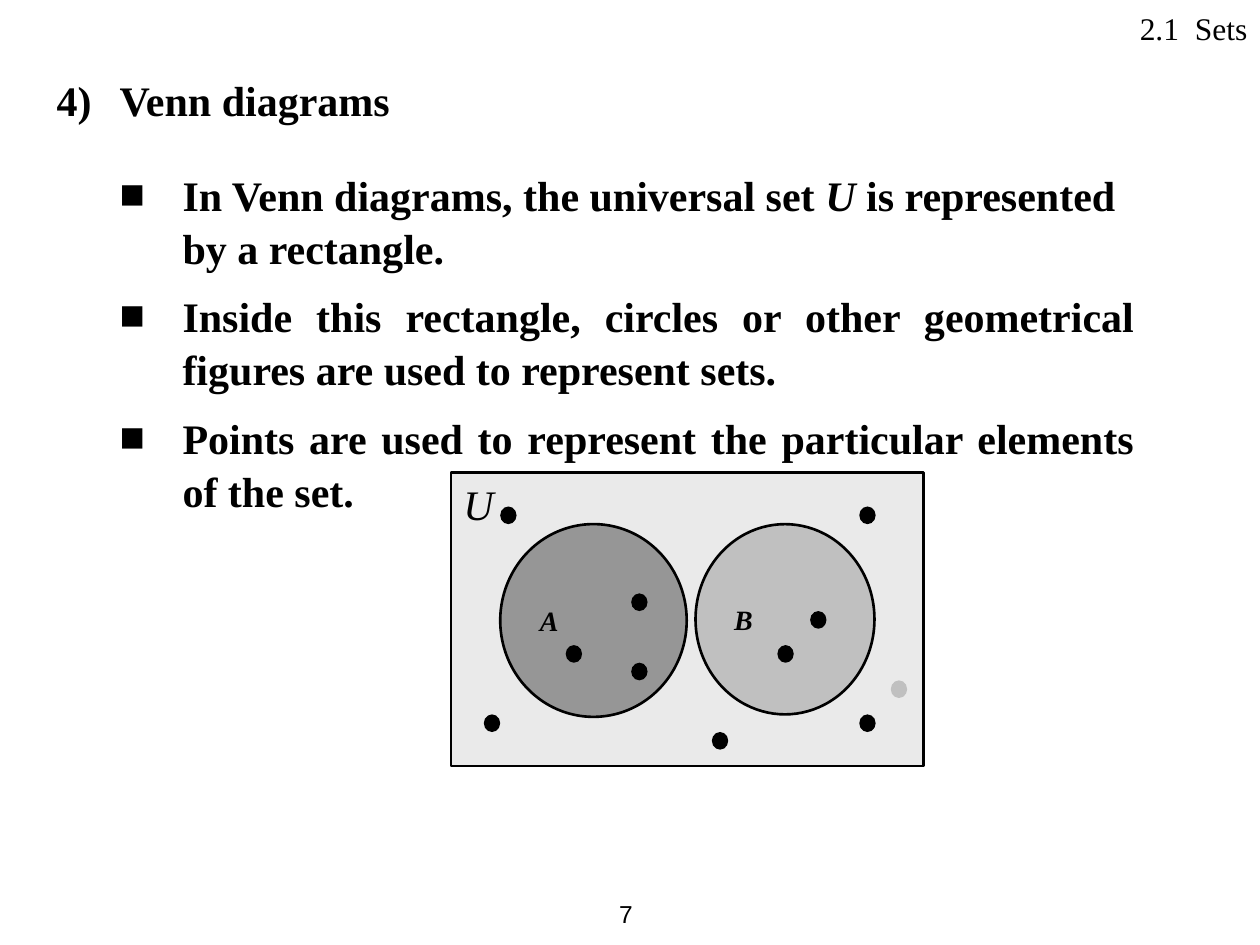
from lxml.etree import SubElement
from pptx import Presentation
from pptx.dml.color import RGBColor
from pptx.enum.shapes import MSO_SHAPE as Shape
from pptx.enum.text import MSO_ANCHOR as Anchor, MSO_AUTO_SIZE as AutoSize, PP_ALIGN as Align
from pptx.oxml.ns import qn
from pptx.util import Inches, Pt

# Content
HEADER = "2.1  Sets"
PAGE_NUMBER = "7"
SERIF, SANS = "Times New Roman", "Arial"
COLORS = {"ink": "000000", "universe": "EAEAEA", "set_a": "969696", "set_b": "C0C0C0"}

# Paragraphs: level, alignment, space before, runs of (text, italic)
OUTLINE = [
    (0, Align.LEFT, 0, [("Venn diagrams", False)]),
    (1, Align.LEFT, 24, [("In Venn diagrams, the universal set ", False), ("U", True),
                         (" is represented by a rectangle.", False)]),
    (1, Align.JUSTIFY, 9, [("Inside this rectangle, circles or other geometrical "
                            "figures are used to represent sets.", False)]),
    (1, Align.JUSTIFY, 9, [("Points are used to represent the particular elements "
                            "of the set.", False)]),
]

# Sets: label, geometry, box, fill, text size, bold, alignment, anchor
SETS = [
    ("U", Shape.RECTANGLE, (3.58, 3.75, 3.75, 2.33), "universe", 24, False, Align.LEFT, Anchor.TOP),
    ("A", Shape.OVAL, (3.97, 4.16, 1.48, 1.53), "set_a", 16, True, Align.JUSTIFY, Anchor.MIDDLE),
    ("B", Shape.OVAL, (5.52, 4.16, 1.42, 1.51), "set_b", 16, True, Align.JUSTIFY, Anchor.MIDDLE),
]
POINT_SIZE = (0.13, 0.14)
POINTS = [  # left, top, colour
    (5.01, 5.26, "ink"), (3.84, 5.67, "ink"), (4.49, 5.12, "ink"), (5.65, 5.81, "ink"),
    (7.07, 5.40, "set_b"), (6.17, 5.12, "ink"), (6.43, 4.85, "ink"), (6.82, 4.02, "ink"),
    (6.82, 5.67, "ink"), (3.97, 4.02, "ink"), (5.01, 4.71, "ink"),
]


def color(name):
    return RGBColor.from_string(COLORS[name])


def add_run(paragraph, text, size, font_name=SERIF, bold=False, italic=False):
    run = paragraph.add_run()
    run.text = text
    font = run.font
    font.name, font.size, font.bold, font.italic = font_name, Pt(size), bold, italic
    font.color.rgb = color("ink")


def set_bullet(paragraph, level):
    """Number the heading from 4) and give the lower level square bullets."""
    properties = paragraph._p.get_or_add_pPr()
    properties.set("marL", str(Inches(0.5 * (level + 1))))
    properties.set("indent", str(Inches(-0.5)))
    bullet_color = SubElement(properties, qn("a:buClr"))
    SubElement(bullet_color, qn("a:srgbClr"), val=COLORS["ink"])
    SubElement(properties, qn("a:buFont"), typeface=SERIF)
    if level == 0:
        SubElement(properties, qn("a:buAutoNum"), type="arabicParenR", startAt="4")
    else:
        SubElement(properties, qn("a:buChar"), char="■")


def add_figure(group, geometry, box, fill, outlined):
    shape = group.shapes.add_shape(geometry, *map(Inches, box))
    shape.shadow.inherit = False
    shape.fill.solid()
    shape.fill.fore_color.rgb = color(fill)
    if outlined:
        shape.line.color.rgb = color("ink")
        shape.line.width = Pt(1.5)
    else:
        shape.line.fill.background()
    return shape


presentation = Presentation()
presentation.slide_width, presentation.slide_height = Inches(10), Inches(7.5)
slide = presentation.slides.add_slide(presentation.slide_layouts[5])

# Section header
title = slide.shapes.title
title.left, title.top, title.width, title.height = map(Inches, (6, 0.02, 4, 0.4))
title.text_frame.vertical_anchor = Anchor.TOP
title.text_frame.auto_size = AutoSize.NONE
paragraph = title.text_frame.paragraphs[0]
paragraph.alignment = Align.RIGHT
add_run(paragraph, HEADER, 18)

# Page number
frame = slide.shapes.add_textbox(*map(Inches, (4.45, 7, 0.67, 0.5))).text_frame
frame.word_wrap = False
frame.vertical_anchor = Anchor.MIDDLE
frame.paragraphs[0].alignment = Align.RIGHT
add_run(frame.paragraphs[0], PAGE_NUMBER, 14, SANS)

# Outline text
frame = slide.shapes.add_textbox(*map(Inches, (0.35, 0.52, 8.75, 3.49))).text_frame
frame.word_wrap = True
for index, (level, alignment, space_before, runs) in enumerate(OUTLINE):
    paragraph = frame.add_paragraph() if index else frame.paragraphs[0]
    set_bullet(paragraph, level)
    paragraph.level = level
    paragraph.alignment = alignment
    paragraph.space_before = Pt(space_before)
    paragraph.line_spacing = 1.05
    for text, italic in runs:
        add_run(paragraph, text, 24, bold=True, italic=italic)

# Venn diagram: universe, two sets, then the points
diagram = slide.shapes.add_group_shape()
for label, geometry, box, fill, size, bold, alignment, anchor in SETS:
    frame = add_figure(diagram, geometry, box, fill, True).text_frame
    frame.word_wrap = False
    frame.vertical_anchor = anchor
    frame.paragraphs[0].alignment = alignment
    add_run(frame.paragraphs[0], label, size, bold=bold, italic=True)
for left, top, fill in POINTS:
    add_figure(diagram, Shape.OVAL, (left, top, *POINT_SIZE), fill, False)

presentation.save("out.pptx")
